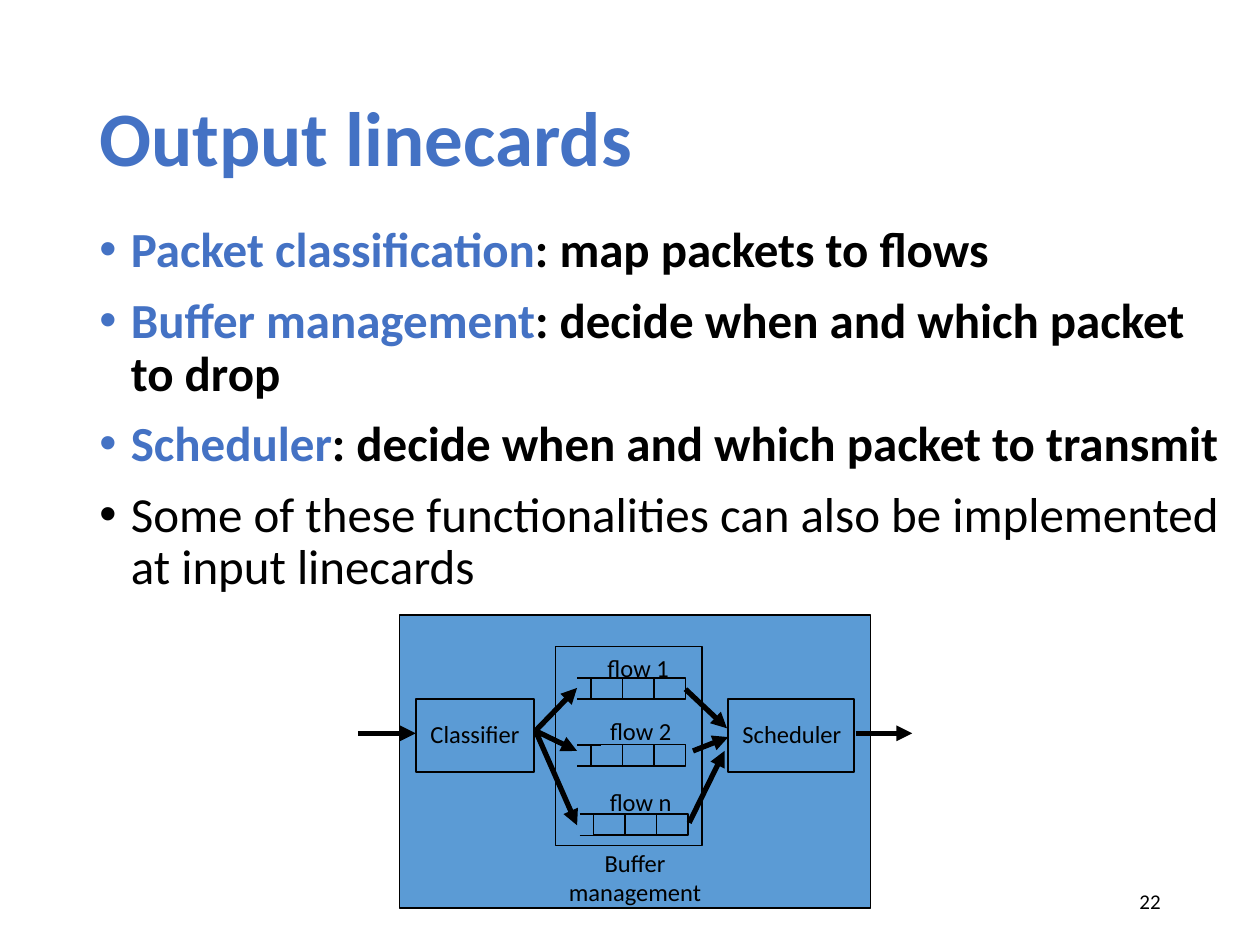
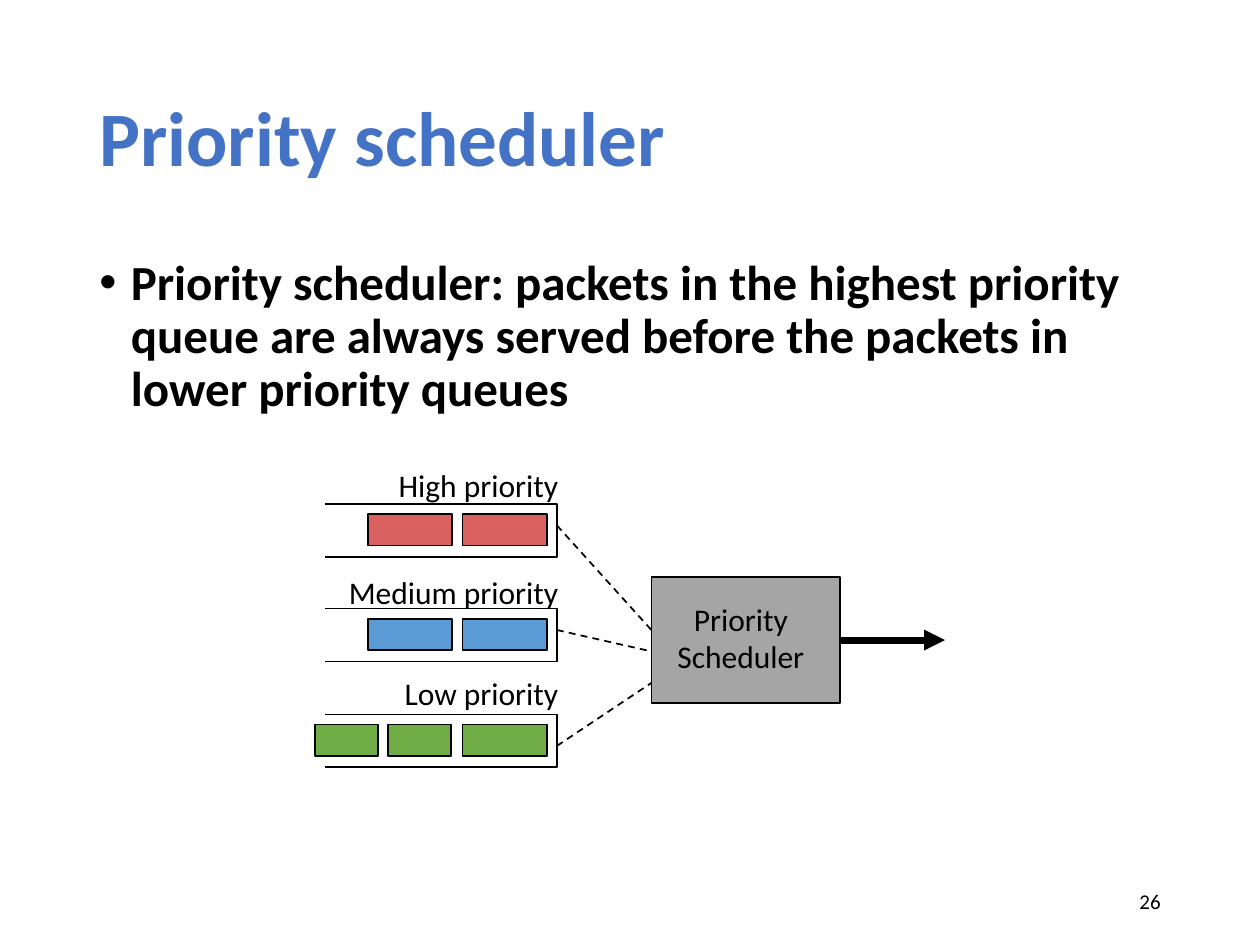
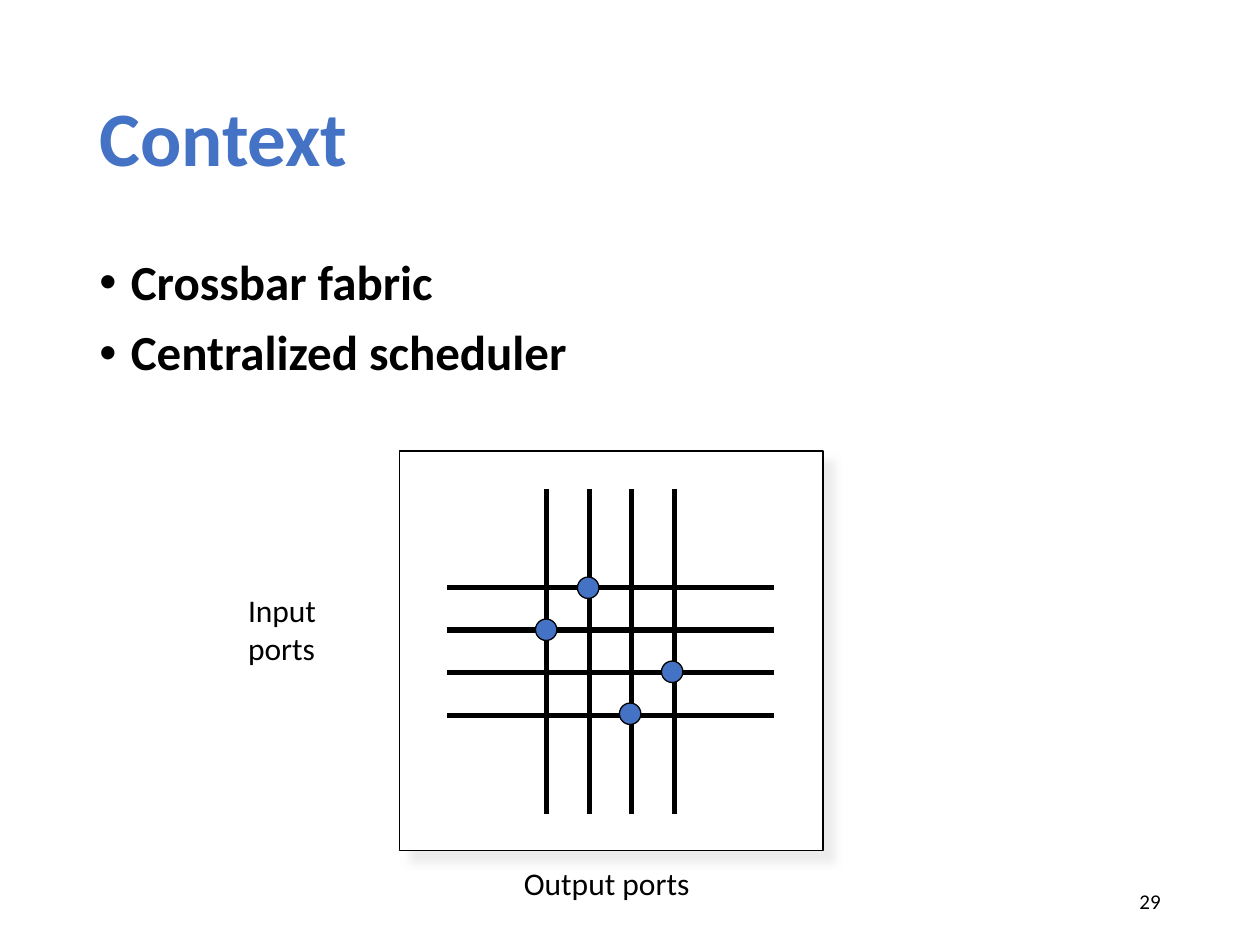
import pptx
import pptx.util
import pptx.dml.color
import pptx.enum.dml
import pptx.enum.shapes
import pptx.enum.text
import pptx.oxml.ns
from lxml import etree

Inches = pptx.util.Inches
Pt = pptx.util.Pt
RGBColor = pptx.dml.color.RGBColor
qn = pptx.oxml.ns.qn
ALIGN = pptx.enum.text.PP_ALIGN
ANCHOR = pptx.enum.text.MSO_ANCHOR
SHAPE = pptx.enum.shapes.MSO_SHAPE

FONT = "Calibri"
BLACK = RGBColor(0x00, 0x00, 0x00)
WHITE = RGBColor(0xFF, 0xFF, 0xFF)
ACCENT = RGBColor(0x44, 0x72, 0xC4)
BLUE = RGBColor(0x5B, 0x9B, 0xD5)
GRAY = RGBColor(0xA5, 0xA5, 0xA5)
RED = RGBColor(0xD9, 0x61, 0x5F)
GREEN = RGBColor(0x70, 0xAD, 0x47)


def add_box(slide, box, text="", size=18, align=ALIGN.CENTER, wrap=True,
            kind=None, fill=None, weight=1):
    """Add a text box, or an outlined preset shape when kind is given."""
    left, top, width, height = [Inches(value) for value in box]
    if kind is None:
        shape = slide.shapes.add_textbox(left, top, width, height)
    else:
        shape = slide.shapes.add_shape(kind, left, top, width, height)
        shape.shadow.inherit = False
        shape.line.color.rgb = BLACK
        shape.line.width = Pt(weight)
        if fill is None:
            shape.fill.background()
        else:
            shape.fill.solid()
            shape.fill.fore_color.rgb = fill
    if text:
        shape.text_frame.text = text
        shape.text_frame.word_wrap = wrap
        for paragraph in shape.text_frame.paragraphs:
            paragraph.alignment = align
            paragraph.font.name = FONT
            paragraph.font.size = Pt(size)
            paragraph.font.color.rgb = BLACK
    return shape


def add_line(slide, start, end, weight=1, dashed=False, arrow=False):
    """Add a straight black line between two points."""
    points = [Inches(value) for value in (*start, *end)]
    line = slide.shapes.add_connector(
        pptx.enum.shapes.MSO_CONNECTOR.STRAIGHT, *points)
    line.line.color.rgb = BLACK
    line.line.width = Pt(weight)
    if dashed:
        line.line.dash_style = pptx.enum.dml.MSO_LINE.DASH
    properties = line._element.spPr
    if arrow:
        etree.SubElement(properties.find(qn("a:ln")), qn("a:tailEnd"), type="triangle")
    etree.SubElement(properties, qn("a:effectLst"))


presentation = pptx.Presentation()
presentation.slide_width = Inches(10)
presentation.slide_height = Inches(7.5)

# Shared parts: title, bullets (accented lead, rest, bold) and slide number
pages = [
    ("Output linecards", "22", (0.69, 1.74, 9.15, 4.76), [
        ("Packet classification", ": map packets to flows", True),
        ("Buffer management", ": decide when and which packet to drop", True),
        ("Scheduler", ": decide when and which packet to transmit", True),
        ("", "Some of these functionalities can also be implemented "
             "at input linecards", False)]),
    ("Priority scheduler", "26", (0.69, 2, 8.62, 4.76), [
        ("", "Priority scheduler: packets in the highest priority queue are "
             "always served before the packets in lower priority queues", True)]),
    ("Context", "29", (0.69, 2, 8.62, 4.76), [
        ("", "Crossbar fabric", True),
        ("", "Centralized scheduler", True)]),
]
slides = []
for title, number, body_box, bullets in pages:
    slide = presentation.slides.add_slide(presentation.slide_layouts[6])
    slides.append(slide)

    heading = add_box(slide, (0.69, 0.4, 8.62, 1.45), title, 44, ALIGN.LEFT)
    heading.text_frame.vertical_anchor = ANCHOR.MIDDLE
    paragraph = heading.text_frame.paragraphs[0]
    paragraph.line_spacing = 0.9
    paragraph.font.bold = True
    paragraph.font.color.rgb = ACCENT

    body = add_box(slide, body_box, "\n".join(lead or rest for lead, rest, bold in bullets),
                   28, ALIGN.LEFT)
    for paragraph, (lead, rest, bold) in zip(body.text_frame.paragraphs, bullets):
        paragraph.line_spacing = 0.9
        paragraph.space_before = Pt(10)
        paragraph.font.bold = bold
        if lead:
            paragraph.runs[0].font.color.rgb = ACCENT
            paragraph.add_run().text = rest
        for run in paragraph.runs:
            run.font.bold = bold
        properties = paragraph._p.get_or_add_pPr()
        properties.set("marL", str(Inches(0.25)))
        properties.set("indent", str(Inches(-0.25)))
        bullet_font = etree.Element(qn("a:buFont"), typeface="Arial")
        bullet = etree.Element(qn("a:buChar"), char="\u2022")
        default_run = properties.find(qn("a:defRPr"))
        default_run.addprevious(bullet_font)
        default_run.addprevious(bullet)

    footer = add_box(slide, (7.06, 6.95, 2.25, 0.4), number, 12, ALIGN.RIGHT)
    footer.text_frame.vertical_anchor = ANCHOR.MIDDLE

linecard_slide, priority_slide, crossbar_slide = slides

# Output linecard: classifier, per-flow buffers, scheduler
for box, fill in [((3.17, 4.88, 3.74, 2.33), BLUE),
                  ((4.41, 5.13, 1.16, 1.58), BLUE),
                  ((3.3, 5.55, 0.94, 0.58), None),
                  ((5.78, 5.55, 1, 0.58), None)]:
    add_box(linecard_slide, box, kind=SHAPE.RECTANGLE, fill=fill)

for left, top, label_left, label_top, label in [
        (4.69, 5.38, 4.71, 5.13, "flow 1"),
        (4.69, 5.91, 4.73, 5.63, "flow 2"),
        (4.71, 6.46, 4.73, 6.2, "flow n")]:
    bottom = top + 0.17
    add_box(linecard_slide, (left, top, 0.75, 0.17), kind=SHAPE.RECTANGLE)
    for cell in (1, 2, 3):
        divider = left + 0.25 * cell
        add_line(linecard_slide, (divider, top), (divider, bottom))
    for edge in (top, bottom):
        add_line(linecard_slide, (left - 0.11, edge), (left + 0.08, edge))
    add_box(linecard_slide, (label_left, label_top, 0.71, 0.33), label, 14, wrap=False)

add_box(linecard_slide, (3.31, 5.66, 0.92, 0.33), "Classifier", 14, wrap=False)
add_box(linecard_slide, (5.79, 5.66, 0.99, 0.33), "Scheduler", 14, wrap=False)
add_box(linecard_slide, (4.2, 6.68, 1.68, 0.57), "Buffer management", 14)

classifier_exit = (4.25, 5.8)
for start, end in [((2.84, 5.82), (3.3, 5.82)),
                   (classifier_exit, (4.58, 5.46)),
                   (classifier_exit, (4.58, 5.96)),
                   (classifier_exit, (4.58, 6.55)),
                   ((5.44, 5.47), (5.77, 5.78)),
                   ((5.5, 5.96), (5.78, 5.85)),
                   ((5.47, 6.53), (5.75, 5.96)),
                   ((6.79, 5.82), (7.24, 5.82))]:
    add_line(linecard_slide, start, end, 3, arrow=True)

# Priority scheduler: three open queues feeding one scheduler
queues = [
    ("High priority", 4, 3.65, RED, [(3.67, 0.67), (2.92, 0.67)], 4.17, 5),
    ("Medium priority", 4.83, 4.5, BLUE, [(3.67, 0.67), (2.92, 0.67)], 5, 5.17),
    ("Low priority", 5.67, 5.3, GREEN, [(3.67, 0.67), (3.08, 0.5), (2.5, 0.5)], 5.92, 5.42),
]
for label, top, label_top, color, packets, link_start, link_end in queues:
    add_line(priority_slide, (4.42, link_start), (5.17, link_end), dashed=True)
    builder = priority_slide.shapes.build_freeform(Inches(2.58), Inches(top))
    builder.add_line_segments(
        [(Inches(4.42), Inches(top)), (Inches(4.42), Inches(top + 0.42)),
         (Inches(2.58), Inches(top + 0.42))], close=False)
    queue = builder.convert_to_shape()
    queue.shadow.inherit = False
    queue.fill.background()
    queue.line.color.rgb = BLACK
    queue.line.width = Pt(1)
    for left, width in packets:
        add_box(priority_slide, (left, top + 0.08, width, 0.25),
                kind=SHAPE.RECTANGLE, fill=color)
    add_box(priority_slide, (2.53, label_top, 2, 0.4), label, align=ALIGN.RIGHT)

add_box(priority_slide, (5.17, 4.58, 1.5, 1), kind=SHAPE.RECTANGLE, fill=GRAY)
add_box(priority_slide, (5.27, 4.71, 1.22, 0.7), "Priority\nScheduler", wrap=False)
add_line(priority_slide, (6.67, 5.08), (7.5, 5.08), 4, arrow=True)

# Crossbar: four inputs crossing four outputs, one dot per connection
frame = add_box(crossbar_slide, (3.17, 3.58, 3.36, 3.17), kind=SHAPE.RECTANGLE, fill=WHITE)
shadow = etree.SubElement(
    frame._element.spPr.find(qn("a:effectLst")), qn("a:outerShdw"),
    blurRad=str(Pt(5)), dist=str(Pt(8.5)), dir="2700000", algn="tl", rotWithShape="0")
shadow_color = etree.SubElement(shadow, qn("a:srgbClr"), val="E7E6E6")
etree.SubElement(shadow_color, qn("a:alpha"), val="75000")

for index in range(4):
    column = 4.34 + 0.337 * index
    row = 4.66 + 0.34 * index
    add_line(crossbar_slide, (column, 3.88), (column, 6.46), 3)
    add_line(crossbar_slide, (3.55, row), (6.14, row), 3)
for row, column in enumerate([1, 0, 3, 2]):
    add_box(crossbar_slide, (4.25 + column / 3, 4.58 + row / 3, 0.17, 0.17),
            kind=SHAPE.OVAL, fill=ACCENT, weight=0.75)

add_box(crossbar_slide, (1.87, 4.64, 1.21, 1.11), "Input\nports", align=ALIGN.LEFT)
add_box(crossbar_slide, (3.29, 6.81, 3.05, 0.44), "Output ports")

presentation.save("out.pptx")
